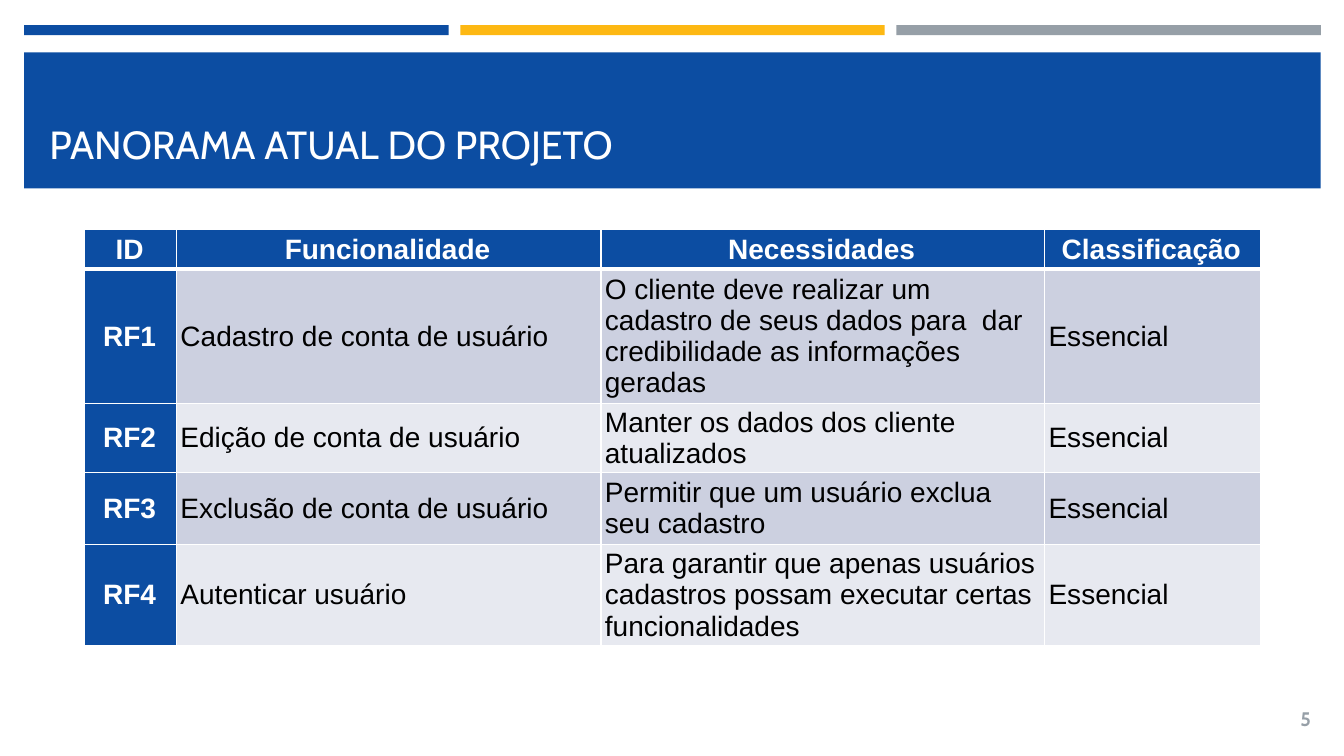
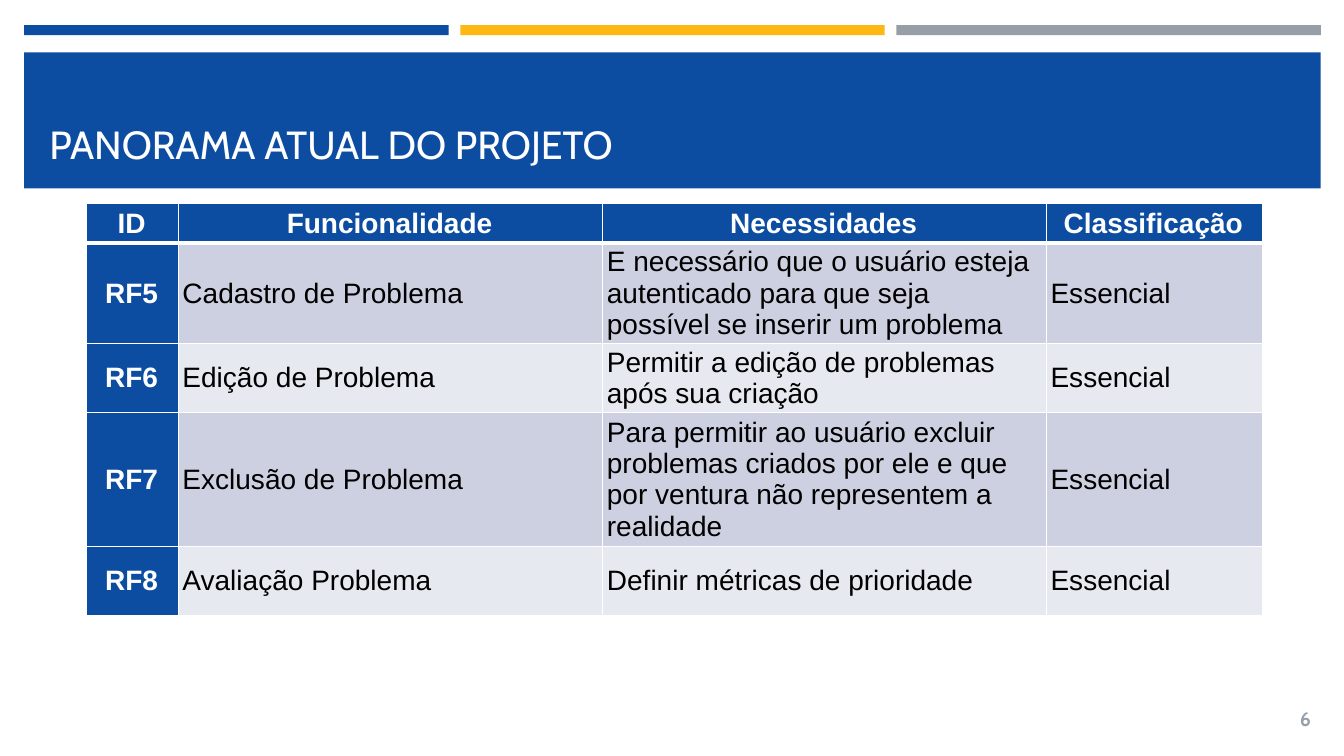
import pptx
import pptx.dml.color
import pptx.enum.shapes
import pptx.enum.text
import pptx.oxml.ns
import pptx.util
from lxml import etree

Inches = pptx.util.Inches
Pt = pptx.util.Pt
RGBColor = pptx.dml.color.RGBColor
ALIGN = pptx.enum.text.PP_ALIGN
ANCHOR = pptx.enum.text.MSO_ANCHOR
qn = pptx.oxml.ns.qn

BLUE = RGBColor(0x0C, 0x4D, 0xA2)
YELLOW = RGBColor(0xFD, 0xB8, 0x13)
GRAY = RGBColor(0x96, 0x9F, 0xA7)
WHITE = RGBColor(0xFF, 0xFF, 0xFF)
BLACK = RGBColor(0x00, 0x00, 0x00)
ROW_DARK = RGBColor(0xCC, 0xD0, 0xE0)
ROW_LIGHT = RGBColor(0xE7, 0xE9, 0xF0)

TITLE_FONT = "Cabin"
TABLE_FONT = "Arial"

BAND_LEFT, BAND_W = 0.24, 12.86
BAR_W = 4.21
COL_WIDTHS = [0.91, 4.21, 4.4, 2.14]
ROW_HEIGHTS = [0.39, 0.45, 0.68, 0.72, 0.68]

TITLE = "PANORAMA ATUAL DO PROJETO"
HEADER = ("ID", "Funcionalidade", "Necessidades", "Classificação")
ACCOUNT_ROWS = [
    ("RF1", "Cadastro de conta de usuário",
     "O cliente deve realizar um cadastro de seus dados para  dar "
     "credibilidade as informações geradas", "Essencial"),
    ("RF2", "Edição de conta de usuário",
     "Manter os dados dos cliente atualizados", "Essencial"),
    ("RF3", "Exclusão de conta de usuário",
     "Permitir que um usuário exclua seu cadastro", "Essencial"),
    ("RF4", "Autenticar usuário",
     "Para garantir que apenas usuários cadastros possam executar certas "
     "funcionalidades", "Essencial"),
]
PROBLEM_ROWS = [
    ("RF5", "Cadastro de Problema",
     "E necessário que o usuário esteja autenticado para que seja possível "
     "se inserir um problema", "Essencial"),
    ("RF6", "Edição de Problema",
     "Permitir a edição de problemas após sua criação", "Essencial"),
    ("RF7", "Exclusão de Problema",
     "Para permitir ao usuário excluir problemas criados por ele e que por "
     "ventura não representem a realidade", "Essencial"),
    ("RF8", "Avaliação Problema",
     "Definir métricas de prioridade", "Essencial"),
]


def write_text(tf, text, *, font, size, color, bold=False, align=ALIGN.LEFT):
    p = tf.paragraphs[0]
    p.alignment = align
    r = p.add_run()
    r.text = text
    r.font.name = font
    r.font.size = Pt(size)
    r.font.bold = bold
    r.font.color.rgb = color


def add_text_box(slide, left, top, width, height, text, *, anchor, inset_y,
                 **text_format):
    sp = slide.shapes.add_textbox(Inches(left), Inches(top),
                                  Inches(width), Inches(height))
    tf = sp.text_frame
    tf.word_wrap = True
    tf.vertical_anchor = anchor
    tf.margin_left = tf.margin_right = Inches(0.1)
    tf.margin_top = tf.margin_bottom = Inches(inset_y)
    write_text(tf, text, **text_format)


def add_band(slide, left, top, width, height, color):
    sp = slide.shapes.add_shape(pptx.enum.shapes.MSO_SHAPE.RECTANGLE,
                                Inches(left), Inches(top),
                                Inches(width), Inches(height))
    sp.shadow.inherit = False
    sp.fill.solid()
    sp.fill.fore_color.rgb = color
    sp.line.fill.background()


def set_borders(cell, top=1, bottom=1):
    """Draw white cell borders; widths are in points."""
    tc_pr = cell._tc.get_or_add_tcPr()
    for side, width in (("L", 1), ("R", 1), ("T", top), ("B", bottom)):
        ln = etree.SubElement(tc_pr, qn(f"a:ln{side}"), w=str(Pt(width)))
        fill = etree.SubElement(ln, qn("a:solidFill"))
        etree.SubElement(fill, qn("a:srgbClr"), val=str(WHITE))


def fill_cell(cell, text, row, col):
    heading = row == 0 or col == 0
    set_borders(cell, top=3 if row == 1 else 1, bottom=3 if row == 0 else 1)
    cell.fill.solid()
    cell.fill.fore_color.rgb = (
        BLUE if heading else ROW_DARK if row % 2 else ROW_LIGHT)
    cell.vertical_anchor = ANCHOR.MIDDLE
    cell.margin_left, cell.margin_right = Inches(0.04), Inches(0.06)
    cell.margin_top = cell.margin_bottom = 0
    write_text(cell.text_frame, text, font=TABLE_FONT, size=20, bold=heading,
               color=WHITE if heading else BLACK,
               align=ALIGN.CENTER if heading else ALIGN.LEFT)


def add_requirements_table(slide, left, top, rows):
    table = slide.shapes.add_table(
        len(ROW_HEIGHTS), len(COL_WIDTHS), Inches(left), Inches(top),
        Inches(sum(COL_WIDTHS)), Inches(sum(ROW_HEIGHTS))).table
    for column, width in zip(table.columns, COL_WIDTHS):
        column.width = Inches(width)
    for row, height in zip(table.rows, ROW_HEIGHTS):
        row.height = Inches(height)
    for i, texts in enumerate([HEADER, *rows]):
        for j, text in enumerate(texts):
            fill_cell(table.cell(i, j), text, i, j)


def add_base_slide(prs, number):
    """Add a slide with the shared bands, title and slide number."""
    slide = prs.slides.add_slide(prs.slide_layouts[6])
    step = (BAND_W - BAR_W) / 2
    for i, color in enumerate((BLUE, YELLOW, GRAY)):
        add_band(slide, BAND_LEFT + i * step, 0.25, BAR_W, 0.1, color)
    add_band(slide, BAND_LEFT, 0.52, BAND_W, 1.35, BLUE)
    add_text_box(slide, 0.39, 0.65, 12.59, 1.11, TITLE,
                 anchor=ANCHOR.BOTTOM, inset_y=0.1,
                 font=TITLE_FONT, size=28, color=WHITE)
    add_text_box(slide, 12.24, 6.93, 0.86, 0.4, str(number),
                 anchor=ANCHOR.MIDDLE, inset_y=0.05, font=TITLE_FONT,
                 size=14, color=GRAY, bold=True, align=ALIGN.RIGHT)
    return slide


def main():
    prs = pptx.Presentation()
    prs.slide_width, prs.slide_height = Inches(13.33), Inches(7.5)
    add_requirements_table(add_base_slide(prs, 5), 0.84, 2.28, ACCOUNT_ROWS)
    add_requirements_table(add_base_slide(prs, 6), 0.86, 2.02, PROBLEM_ROWS)
    prs.save("out.pptx")


if __name__ == "__main__":
    main()
